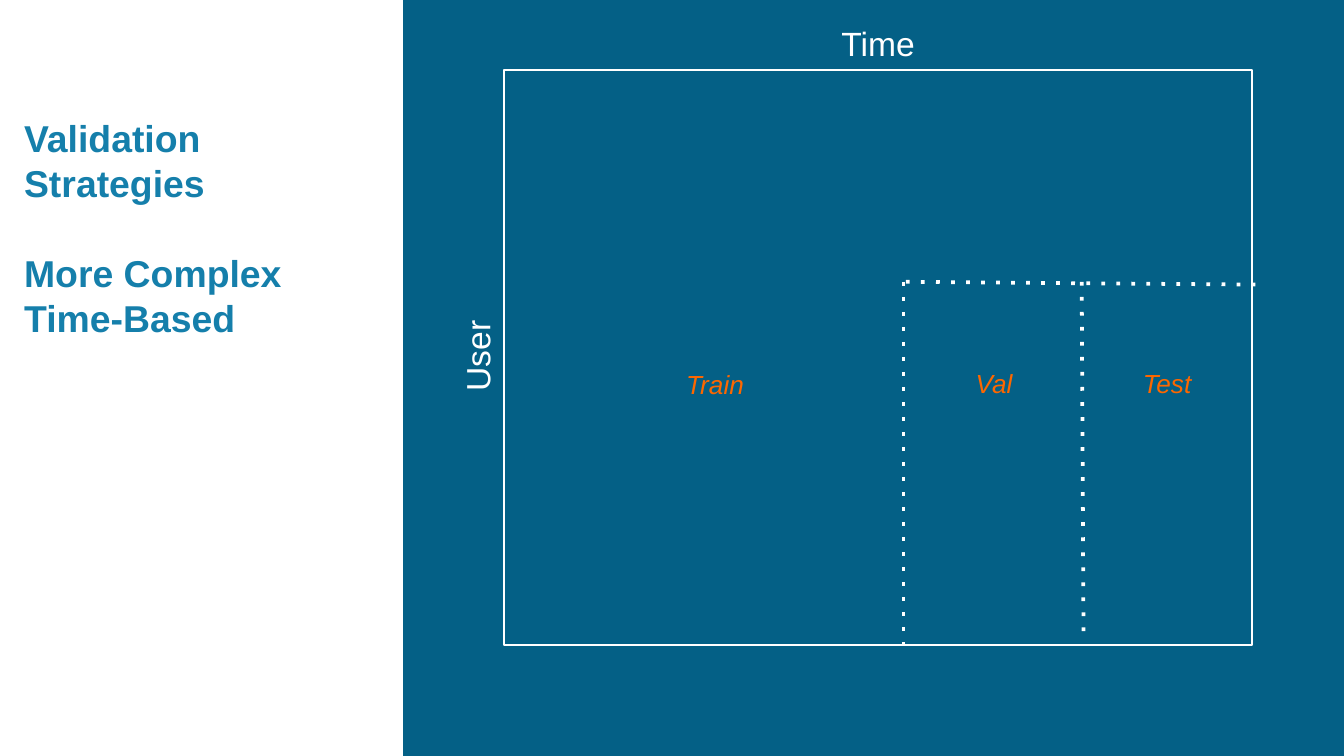
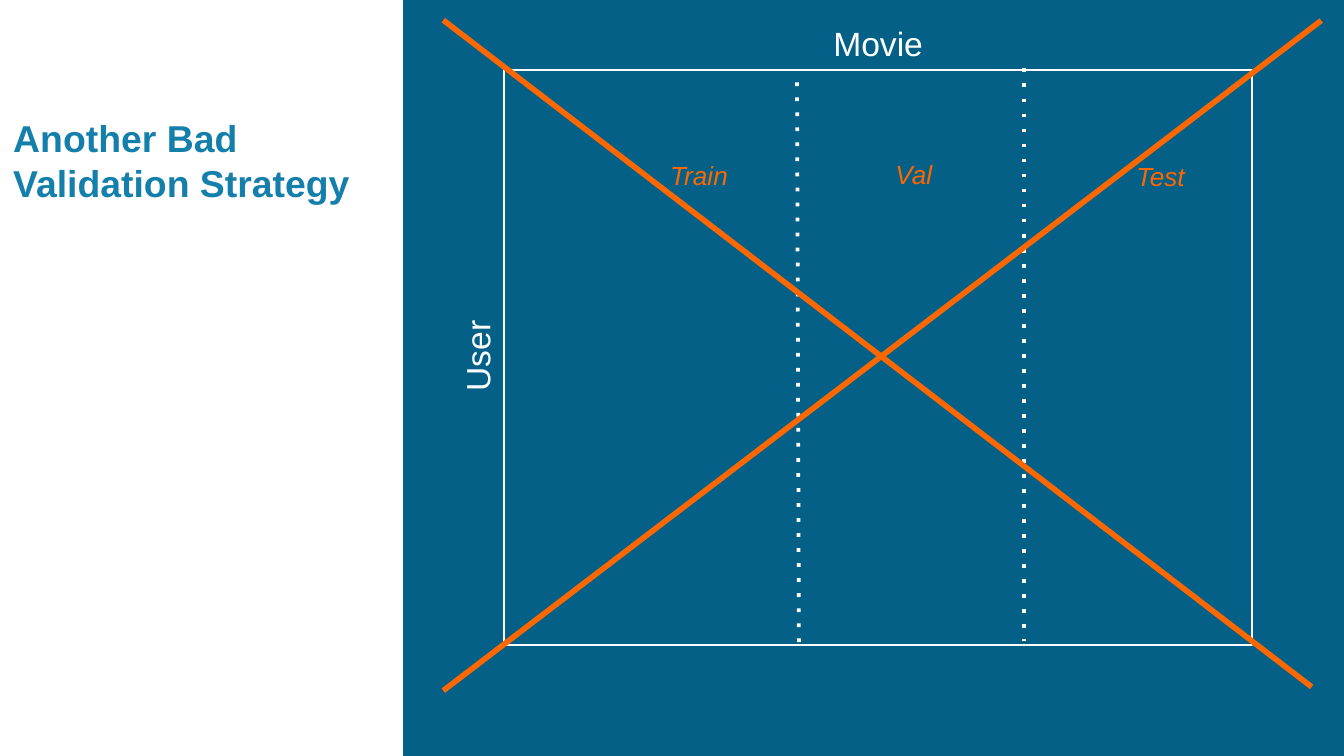
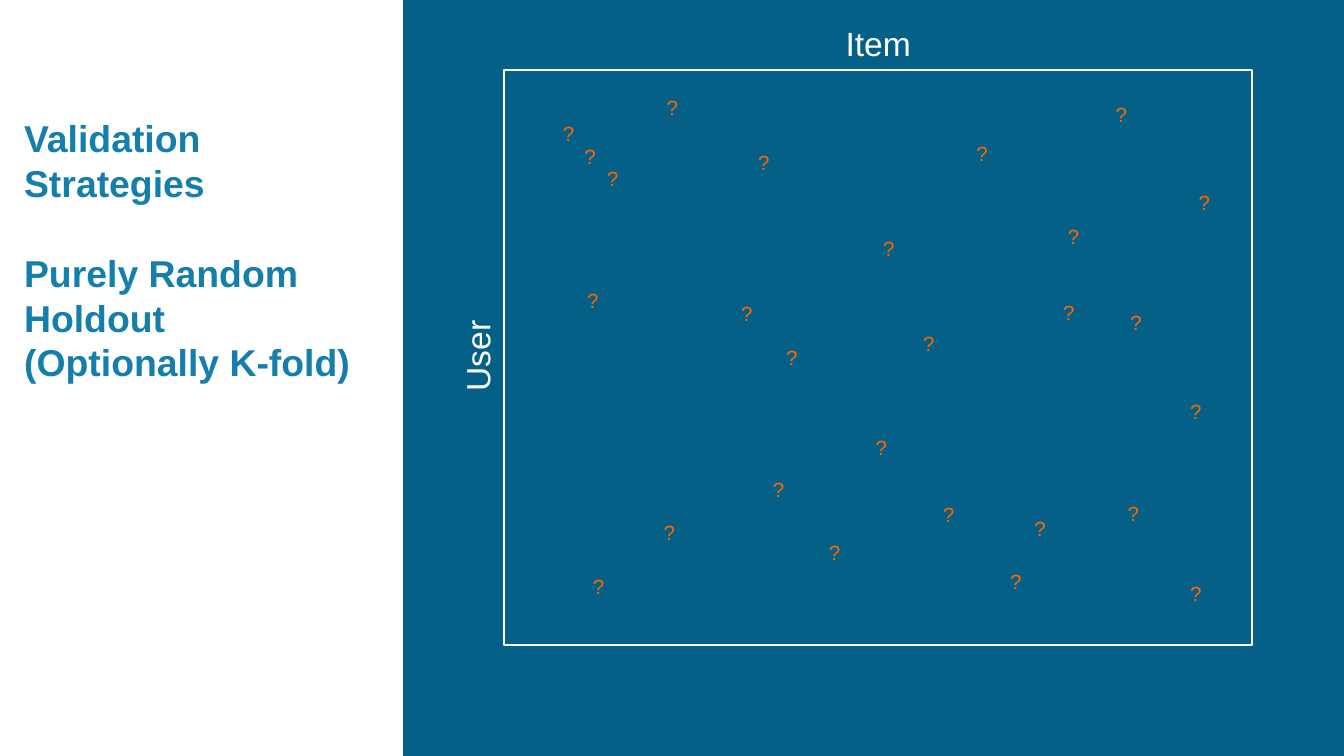
import pptx
import pptx.dml.color
import pptx.enum.dml
import pptx.enum.shapes
import pptx.enum.text
import pptx.oxml.ns
import pptx.util
from lxml import etree

Pt = pptx.util.Pt
qn = pptx.oxml.ns.qn
ALIGN = pptx.enum.text.PP_ALIGN

COLORS = {"band": "046086", "title": "157FAB", "white": "FFFFFF", "accent": "FD6700"}
WIDTH, HEIGHT = 720, 405
BAND_LEFT = 216
FRAME = (270, 37.4, 401, 308)
AXIS_HEIGHT = 28.8
LABEL_WIDTHS = {"Train": 75, "Val": 57, "Test": 50.5}

HOLDOUT_MARKS = [
    (294.5, 61), (306, 73.5), (318, 85.5), (399, 77), (307.5, 150.5), (350, 47.5),
    (348.5, 275), (516, 72), (390, 157.5), (407, 252), (414, 181.5), (590.5, 51),
    (466, 123), (630.5, 210), (462, 229.5), (487.5, 174), (310.5, 304), (498, 265.5),
    (547, 273), (597, 265), (534, 301.5), (437, 286), (562.5, 157), (565, 116.5),
    (598.5, 162.5), (630.5, 307.5), (635, 98),
]


def rgb(name):
    return pptx.dml.color.RGBColor.from_string(COLORS[name])


class Deck:
    """Holds the presentation, its style and the current slide."""

    font = "Arial"

    def __init__(self):
        self.prs = pptx.Presentation()
        self.prs.slide_width, self.prs.slide_height = Pt(WIDTH), Pt(HEIGHT)
        self.s = None

    def matrix_slide(self, title, column_axis, title_left=5.8, title_width=204):
        """Start a slide with a title at left and an empty user matrix on the band."""
        self.s = self.prs.slides.add_slide(self.prs.slide_layouts[6])
        self.rect(BAND_LEFT, 0, WIDTH - BAND_LEFT, HEIGHT, fill="band")
        self.text(title, title_left, 58.3, title_width, 121, 20, "title",
                  bold=True, line=24)
        x, y, w, h = FRAME
        self.rect(x, y, w, h, line="white")
        self.text([column_axis], x, y - AXIS_HEIGHT, w, AXIS_HEIGHT, 18, "white",
                  align=ALIGN.CENTER)
        self.text(["User"], x - AXIS_HEIGHT / 2 - h / 2, y + h / 2 - AXIS_HEIGHT / 2 - 0.6,
                  h, AXIS_HEIGHT, 18, "white", align=ALIGN.CENTER, rotation=270)

    def rect(self, x, y, w, h, fill=None, line=None):
        sp = self.s.shapes.add_shape(pptx.enum.shapes.MSO_SHAPE.RECTANGLE,
                                     Pt(x), Pt(y), Pt(w), Pt(h))
        sp.shadow.inherit = False
        if fill:
            sp.fill.solid()
            sp.fill.fore_color.rgb = rgb(fill)
        else:
            sp.fill.background()
        if line:
            sp.line.color.rgb = rgb(line)
            sp.line.width = Pt(1)
        else:
            sp.line.fill.background()

    def text(self, paragraphs, x, y, w, h, size, color, align=ALIGN.LEFT,
             bold=False, italic=False, line=None, rotation=0):
        """Write paragraphs; a (text, space before) pair adds a gap above."""
        sp = self.s.shapes.add_textbox(Pt(x), Pt(y), Pt(w), Pt(h))
        sp.rotation = rotation
        tf = sp.text_frame
        tf.word_wrap = True
        for i, item in enumerate(paragraphs):
            words, gap = item if isinstance(item, tuple) else (item, 0)
            p = tf.add_paragraph() if i else tf.paragraphs[0]
            p.alignment = align
            if gap:
                p.space_before = Pt(gap)
            if line:
                p.line_spacing = Pt(line)
            r = p.add_run()
            r.text = words
            r.font.name, r.font.size = self.font, Pt(size)
            r.font.bold, r.font.italic = bold, italic
            r.font.color.rgb = rgb(color)

    def line(self, x1, y1, x2, y2, color="white", width=2, dotted=True):
        cx = self.s.shapes.add_connector(pptx.enum.shapes.MSO_CONNECTOR.STRAIGHT,
                                         Pt(x1), Pt(y1), Pt(x2), Pt(y2))
        cx.line.color.rgb = rgb(color)
        cx.line.width = Pt(width)
        if dotted:
            cx.line.dash_style = pptx.enum.dml.MSO_LINE.ROUND_DOT
            cx.element.find(".//" + qn("a:prstDash")).set("val", "dot")
        etree.SubElement(cx.element.spPr, qn("a:effectLst"))

    def split_labels(self, **places):
        for name, (x, y) in places.items():
            self.text([name], x, y, LABEL_WIDTHS[name], 24.5, 14, "accent",
                      align=ALIGN.CENTER, italic=True)


def main():
    deck = Deck()

    deck.matrix_slide(["Validation Strategies", ("More Complex Time-Based", 24)], "Time")
    deck.line(484, 151, 484, 345)
    deck.line(579.5, 151, 580.5, 344)
    deck.split_labels(Train=(345.6, 194), Val=(504, 193.5), Test=(600, 193.2))
    deck.line(672.5, 152.5, 484, 151)

    deck.matrix_slide(["Another Bad Validation Strategy"], "Movie",
                      title_left=0, title_width=219.6)
    deck.line(428, 344, 427, 42)
    deck.line(548.6, 36.7, 548.6, 343.5)
    deck.split_labels(Train=(337, 81.7), Val=(461, 81.4), Test=(596.5, 82.4))
    deck.line(237.5, 10.8, 702.7, 368, "accent", 3, dotted=False)
    deck.line(237.5, 370, 707.8, 11, "accent", 3, dotted=False)

    deck.matrix_slide(["Validation Strategies", ("Purely Random Holdout", 24),
                       "(Optionally K-fold)"], "Item")
    for x, y in HOLDOUT_MARKS:
        deck.text(["?"], x, y, 20.5, 21, 11, "accent")

    deck.prs.save("out.pptx")


if __name__ == "__main__":
    main()
